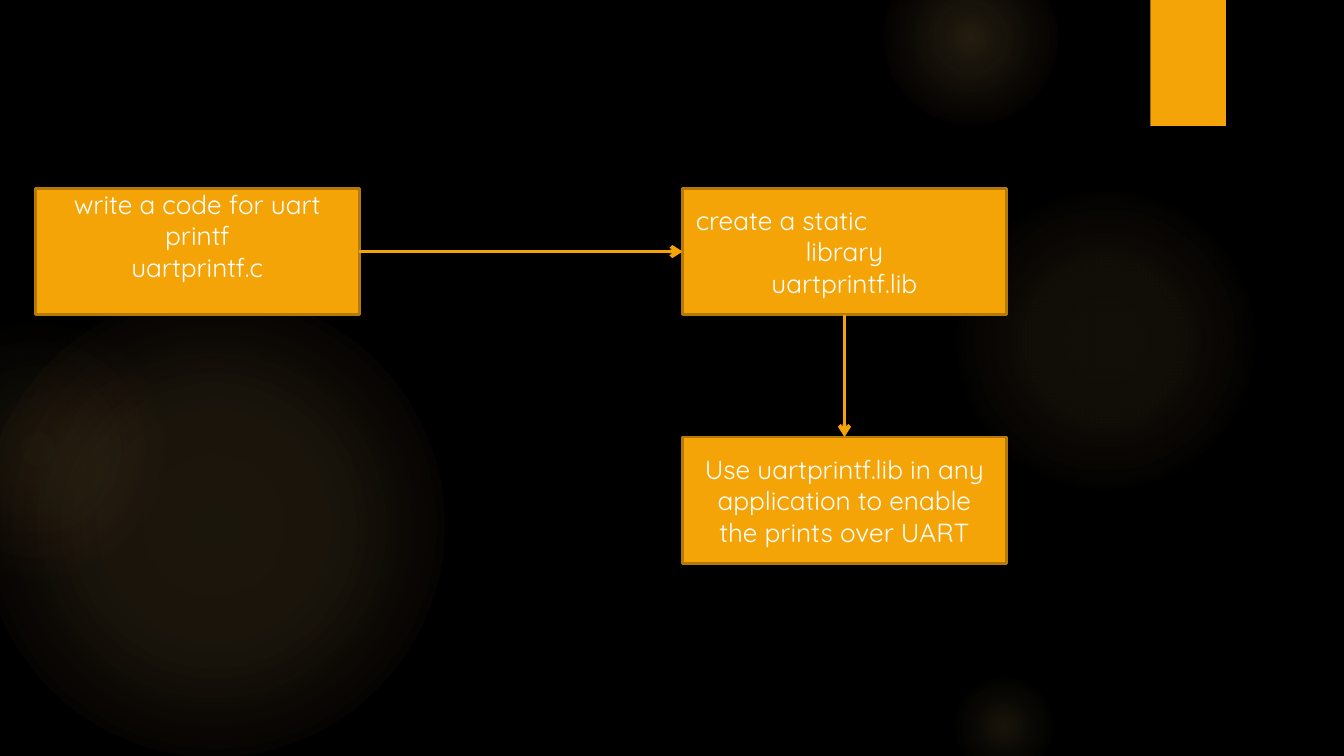
import lxml.etree
import pptx
import pptx.dml.color
import pptx.enum.shapes
import pptx.enum.text
import pptx.oxml
import pptx.oxml.ns
import pptx.util

Cm = pptx.util.Cm
Pt = pptx.util.Pt
RGB = pptx.dml.color.RGBColor.from_string
SHAPE = pptx.enum.shapes.MSO_SHAPE
ALIGN = pptx.enum.text.PP_ALIGN
ANCHOR = pptx.enum.text.MSO_ANCHOR
TOP, LEFT, BOTTOM, RIGHT = range(4)

THEME = {
    "background": "000000",
    "accent": "F5A408",
    "box_line": "B57906",
    "text": "FFFFFF",
    "glow": "FAC96A",
    "warm_glow": "F59B74",
    "font": "Quicksand",
    "text_size": 14,
    "box_line_width": 1.5,
    "arrow_width": 2,
}

# Left, top, diameter in cm; stops as (position %, theme colour, opacity %)
GLOWS = [
    (-0.33, 5.56, 8.73, [(0, "glow", 11), (36, "glow", 10), (75, "glow", 0)]),
    (-1.75, 6.03, 4.92, [(0, "glow", 8), (36, "glow", 5), (71, "warm_glow", 0)]),
    (17.94, 3.49, 5.87, [(0, "glow", 7), (36, "glow", 6), (69, "glow", 0)]),
    (16.67, -0.95, 3.33, [(0, "glow", 14), (36, "glow", 7), (73, "glow", 0)]),
    (17.94, 12.7, 2.06, [(0, "glow", 10), (31, "glow", 5), (66, "glow", 0)]),
]
TAB = (21.74, 0, 1.43, 2.38)

COLUMNS = (0.67, 12.9)
ROWS = (3.56, 8.26)
BOX_SIZE = (6.12, 2.39)
STEPS = [
    {
        "cell": (0, 0),
        "lines": [("write a code for uart printf", ALIGN.CENTER),
                  ("uartprintf.c", ALIGN.CENTER)],
        "frame": {"vertical_anchor": ANCHOR.TOP, "margin_top": 0, "margin_bottom": 0},
    },
    {
        "cell": (1, 0),
        "lines": [("create a static", ALIGN.LEFT),
                  ("library", ALIGN.CENTER),
                  ("uartprintf.lib", ALIGN.CENTER)],
        "frame": {"vertical_anchor": ANCHOR.MIDDLE},
    },
    {
        "cell": (1, 1),
        "lines": [("Use uartprintf.lib in any application to enable the prints over UART",
                   ALIGN.CENTER)],
        "frame": {"vertical_anchor": ANCHOR.MIDDLE},
    },
]
# From step, side, to step, side
ARROWS = [(0, RIGHT, 1, LEFT), (1, BOTTOM, 2, TOP)]


def set_format(target, values):
    for name, value in values.items():
        setattr(target, name, value)


def add_filled_shape(slide, kind, bounds, color):
    shape = slide.shapes.add_shape(kind, *(Cm(length) for length in bounds))
    shape.shadow.inherit = False
    shape.fill.solid()
    shape.fill.fore_color.rgb = RGB(THEME[color])
    shape.line.fill.background()
    return shape


def add_glow(slide, left, top, diameter, stops):
    """Add a circle whose radial gradient fades to transparent."""
    shape = add_filled_shape(slide, SHAPE.OVAL, (left, top, diameter, diameter), "glow")
    stop_xml = "".join(
        f'<a:gs pos="{position * 1000}"><a:srgbClr val="{THEME[color]}">'
        f'<a:alpha val="{opacity * 1000}"/></a:srgbClr></a:gs>'
        for position, color, opacity in stops
    )
    gradient = pptx.oxml.parse_xml(
        f'<a:gradFill {pptx.oxml.ns.nsdecls("a")} rotWithShape="1">'
        f'<a:gsLst>{stop_xml}</a:gsLst><a:path path="circle">'
        '<a:fillToRect l="50000" t="50000" r="50000" b="50000"/></a:path></a:gradFill>'
    )
    properties = shape._element.spPr
    properties.replace(properties.find(pptx.oxml.ns.qn("a:solidFill")), gradient)


def add_step(slide, step):
    column, row = step["cell"]
    bounds = (COLUMNS[column], ROWS[row], *BOX_SIZE)
    box = add_filled_shape(slide, SHAPE.RECTANGLE, bounds, "accent")
    box.line.color.rgb = RGB(THEME["box_line"])
    box.line.width = Pt(THEME["box_line_width"])
    frame = box.text_frame
    set_format(frame, {"word_wrap": True, **step["frame"]})
    for index, (text, alignment) in enumerate(step["lines"]):
        paragraph = frame.add_paragraph() if index else frame.paragraphs[0]
        paragraph.alignment = alignment
        run = paragraph.add_run()
        run.text = text
        set_format(run.font, {"name": THEME["font"], "size": Pt(THEME["text_size"])})
        run.font.color.rgb = RGB(THEME["text"])
    return box


def add_arrow(slide, start, start_side, end, end_side):
    arrow = slide.shapes.add_connector(
        pptx.enum.shapes.MSO_CONNECTOR.STRAIGHT, 0, 0, 0, 0)
    arrow.begin_connect(start, start_side)
    arrow.end_connect(end, end_side)
    arrow.line.color.rgb = RGB(THEME["accent"])
    arrow.line.width = Pt(THEME["arrow_width"])
    qn = pptx.oxml.ns.qn
    lxml.etree.SubElement(arrow.line._get_or_add_ln(), qn("a:tailEnd"), type="arrow")
    lxml.etree.SubElement(arrow._element.spPr, qn("a:effectLst"))


def main():
    presentation = pptx.Presentation()
    set_format(presentation, {"slide_width": Cm(25.4), "slide_height": Cm(14.29)})
    slide = presentation.slides.add_slide(presentation.slide_layouts[6])
    slide.background.fill.solid()
    slide.background.fill.fore_color.rgb = RGB(THEME["background"])
    for glow in GLOWS:
        add_glow(slide, *glow)
    add_filled_shape(slide, SHAPE.RECTANGLE, TAB, "accent")
    boxes = [add_step(slide, step) for step in STEPS]
    for start, start_side, end, end_side in ARROWS:
        add_arrow(slide, boxes[start], start_side, boxes[end], end_side)
    presentation.save("out.pptx")


if __name__ == "__main__":
    main()
